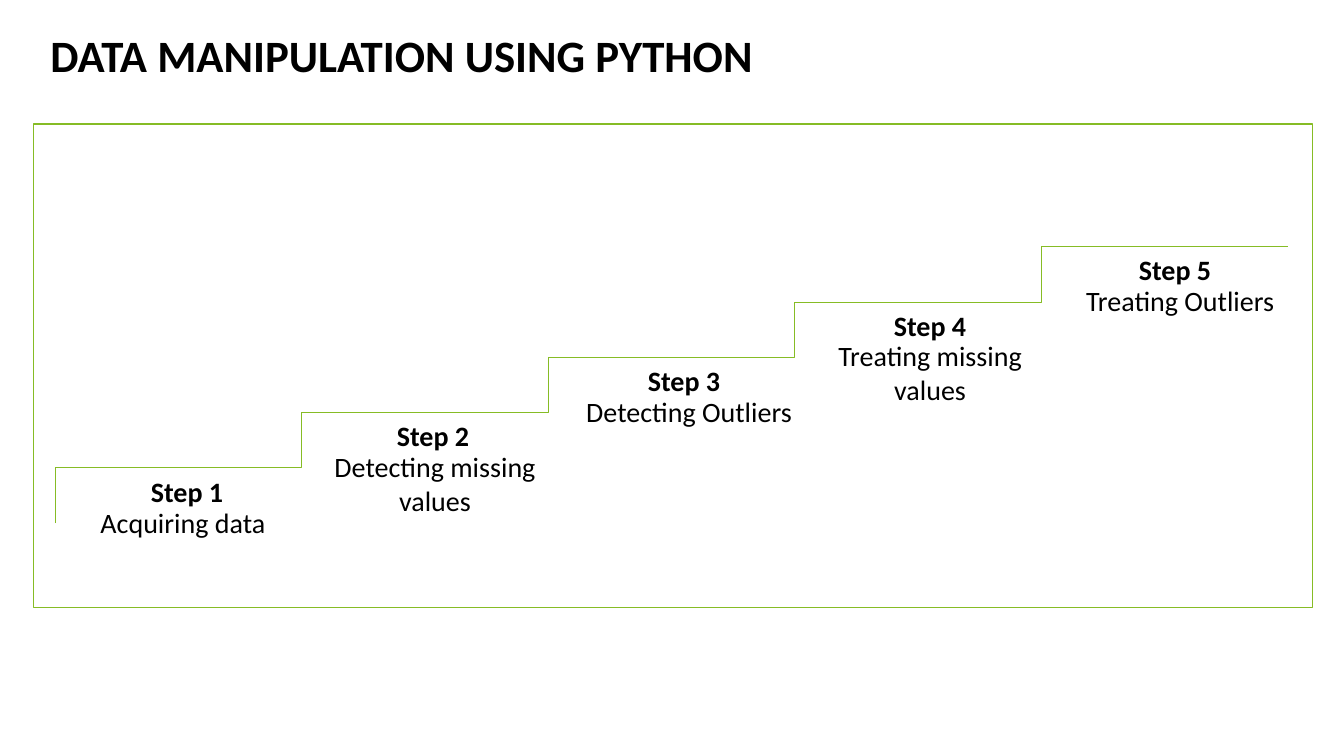
from pptx import Presentation
from pptx import util as u
from pptx.dml.color import RGBColor
from pptx.enum import shapes, text

GREEN, BLACK = "86BC25", "000000"
FONT = "Calibri"

# Staircase grid: one column and one row per step
STAIR_LEFT, STAIR_BOTTOM = 0.55, 5.19
TREAD, RISER = 2.444, 0.548
LABEL_WIDTH, LABEL_TOP, LABEL_ROW = 2.27, 4.73, 0.55

# Left edge of the label, description, sideways shift of the description
STEPS = [
    (0.72, "Acquiring data", -0.04),
    (3.16, "Detecting missing values", 0.02),
    (5.65, "Detecting Outliers", 0.05),
    (8.09, "Treating missing values", 0),
    (10.52, "Treating Outliers", 0.05),
]


def rgb(value):
    return RGBColor.from_string(value)


def style_outline(sp, width):
    sp.shadow.inherit = False
    sp.fill.background()
    sp.line.color.rgb = rgb(GREEN)
    sp.line.width = u.Pt(width)


def add_text(s, box, words, size, bold=False, align=text.PP_ALIGN.CENTER,
             before=0, after=0, spacing=1.0):
    tf = s.shapes.add_textbox(*map(u.Inches, box)).text_frame
    tf.word_wrap = True
    tf.margin_left = tf.margin_right = tf.margin_top = tf.margin_bottom = 0
    p = tf.paragraphs[0]
    p.alignment = align
    p.space_before, p.space_after = u.Pt(before), u.Pt(after)
    p.line_spacing = spacing
    r = p.add_run()
    r.text = words
    r.font.name, r.font.size, r.font.bold = FONT, u.Pt(size), bold
    r.font.color.rgb = rgb(BLACK)


def add_frame(s, box):
    sp = s.shapes.add_shape(shapes.MSO_SHAPE.RECTANGLE, *map(u.Inches, box))
    style_outline(sp, 1)


def add_staircase(s, count):
    points = []
    for i in range(count):
        left, top = STAIR_LEFT + i * TREAD, STAIR_BOTTOM - (i + 1) * RISER
        points += [(left, top), (left + TREAD, top)]
    builder = s.shapes.build_freeform(u.Inches(STAIR_LEFT),
                                      u.Inches(STAIR_BOTTOM), scale=1.0)
    builder.add_line_segments(
        [(u.Inches(x), u.Inches(y)) for x, y in points], close=False)
    style_outline(builder.convert_to_shape(), 0.75)


def add_step(s, index, left, description, shift):
    top = LABEL_TOP - index * LABEL_ROW
    add_text(s, (left, top, LABEL_WIDTH, 0.32), f"Step {index + 1}", 20,
             bold=True, spacing=0.95)
    add_text(s, (left + shift, top + 0.28, LABEL_WIDTH, 0.75), description, 20,
             before=6)


def main():
    prs = Presentation()
    prs.slide_width, prs.slide_height = u.Inches(13.33), u.Inches(7.5)
    s = prs.slides.add_slide(prs.slide_layouts[6])

    # Title and frame
    add_text(s, (0.5, 0.28, 12.24, 0.83), "DATA MANIPULATION USING PYTHON", 32,
             bold=True, align=text.PP_ALIGN.LEFT, after=10)
    add_frame(s, (0.33, 1.23, 12.69, 4.8))

    # Rising steps with their labels
    add_staircase(s, len(STEPS))
    for index, step in enumerate(STEPS):
        add_step(s, index, *step)

    prs.save("out.pptx")


if __name__ == "__main__":
    main()
